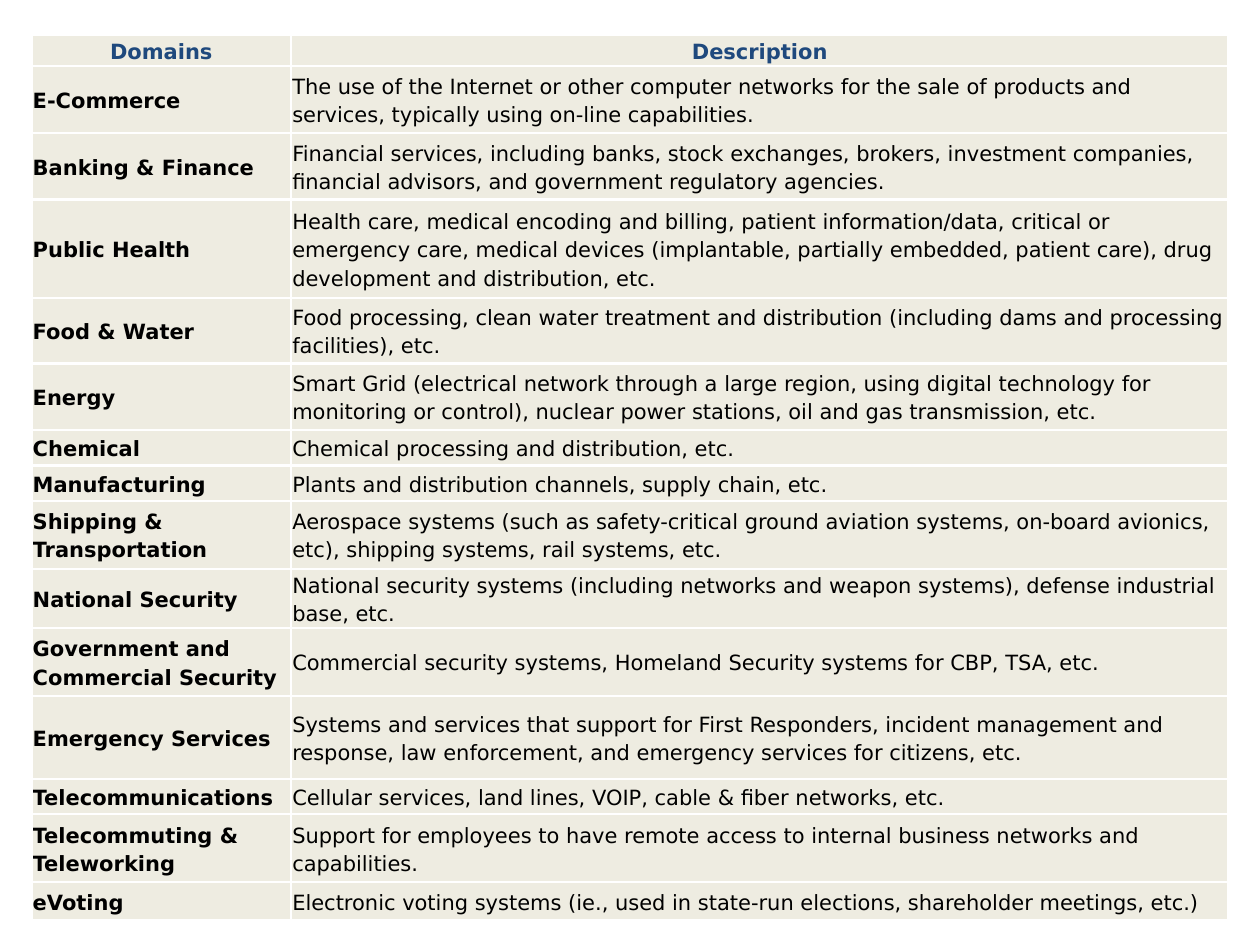
from lxml.etree import SubElement
from pptx import Presentation
from pptx.dml.color import RGBColor
from pptx.enum.text import MSO_ANCHOR as Anchor, PP_ALIGN as Align
from pptx.oxml.ns import qn
from pptx.util import Inches, Pt

BLANK_LAYOUT = 6
COLUMN_WIDTHS = [2.06, 7.44]
HEADINGS = ["Domains", "Description"]
HEADING_HEIGHT = 0.24

# Row height, domain, description
DOMAINS = [
    (0.53, "E-Commerce",
     "The use of the Internet or other computer networks for the sale of products and "
     "services, typically using on-line capabilities."),
    (0.53, "Banking & Finance",
     "Financial services, including banks, stock exchanges, brokers, investment companies, "
     "financial advisors, and government regulatory agencies."),
    (0.78, "Public Health",
     "Health care, medical encoding and billing, patient information/data, critical or "
     "emergency care, medical devices (implantable, partially embedded, patient care), "
     "drug development and distribution, etc."),
    (0.52, "Food & Water",
     "Food processing, clean water treatment and distribution (including dams and "
     "processing facilities), etc."),
    (0.53, "Energy",
     "Smart Grid (electrical network through a large region, using digital technology for "
     "monitoring or control), nuclear power stations, oil and gas transmission, etc."),
    (0.28, "Chemical", "Chemical processing and distribution, etc."),
    (0.28, "Manufacturing", "Plants and distribution channels, supply chain, etc."),
    (0.54, "Shipping & Transportation",
     "Aerospace systems (such as safety-critical ground aviation systems, on-board "
     "avionics, etc), shipping systems, rail systems, etc."),
    (0.46, "National Security",
     "National security systems (including networks and weapon systems), defense "
     "industrial base, etc."),
    (0.54, "Government and Commercial Security",
     "Commercial security systems, Homeland Security systems for CBP, TSA, etc."),
    (0.66, "Emergency Services",
     "Systems and services that support for First Responders, incident management and "
     "response, law enforcement, and emergency services for citizens, etc."),
    (0.28, "Telecommunications",
     "Cellular services, land lines, VOIP, cable & fiber networks, etc."),
    (0.54, "Telecommuting & Teleworking",
     "Support for employees to have remote access to internal business networks and "
     "capabilities."),
    (0.30, "eVoting",
     "Electronic voting systems (ie., used in state-run elections, shareholder meetings, "
     "etc.)"),
]


def color(hex_string):
    return RGBColor.from_string(hex_string)


class DomainSlide:
    font = "DejaVu Sans"
    size = Pt(12)
    ink = "000000"
    heading_ink = "1F497D"
    cell_fill = "EEECE1"
    rule = "FFFFFF"
    rule_width = Pt(1.5)

    def __init__(self, deck):
        self.slide = deck.slides.add_slide(deck.slide_layouts[BLANK_LAYOUT])

    def table(self, left, top, widths, heights):
        frame = self.slide.shapes.add_table(
            len(heights), len(widths), Inches(left), Inches(top),
            Inches(sum(widths)), Inches(sum(heights)))
        grid = frame.table
        grid.first_row = grid.horz_banding = False
        for column, width in zip(grid.columns, widths):
            column.width = Inches(width)
        for row, height in zip(grid.rows, heights):
            row.height = Inches(height)
        return grid

    def borders(self, cell):
        properties = cell._tc.get_or_add_tcPr()
        for side in ("lnL", "lnR", "lnT", "lnB"):
            line = SubElement(properties, qn(f"a:{side}"), w=str(self.rule_width))
            fill = SubElement(line, qn("a:solidFill"))
            SubElement(fill, qn("a:srgbClr"), val=self.rule)

    def cell(self, cell, text, bold=False, ink=ink, align=Align.LEFT):
        # Borders come before the fill in the cell properties
        self.borders(cell)
        cell.fill.solid()
        cell.fill.fore_color.rgb = color(self.cell_fill)
        cell.vertical_anchor = Anchor.MIDDLE
        for side in ("left", "right", "top", "bottom"):
            setattr(cell, f"margin_{side}", Inches(0.01))
        paragraph = cell.text_frame.paragraphs[0]
        paragraph.alignment = align
        paragraph.line_spacing = 1.15
        run = paragraph.add_run()
        run.text = text
        for name, value in {"name": self.font, "size": self.size, "bold": bold}.items():
            setattr(run.font, name, value)
        run.font.color.rgb = color(ink)


def main():
    deck = Presentation()
    deck.slide_width, deck.slide_height = Inches(10), Inches(7.5)
    page = DomainSlide(deck)

    heights = [HEADING_HEIGHT] + [height for height, _, _ in DOMAINS]
    grid = page.table(0.25, 0.28, COLUMN_WIDTHS, heights)

    # Heading row
    for column, heading in enumerate(HEADINGS):
        page.cell(grid.cell(0, column), heading, bold=True,
                  ink=page.heading_ink, align=Align.CENTER)

    # One row for each domain
    for row, (_, domain, description) in enumerate(DOMAINS, start=1):
        page.cell(grid.cell(row, 0), domain, bold=True)
        page.cell(grid.cell(row, 1), description)

    deck.save("out.pptx")


if __name__ == "__main__":
    main()
